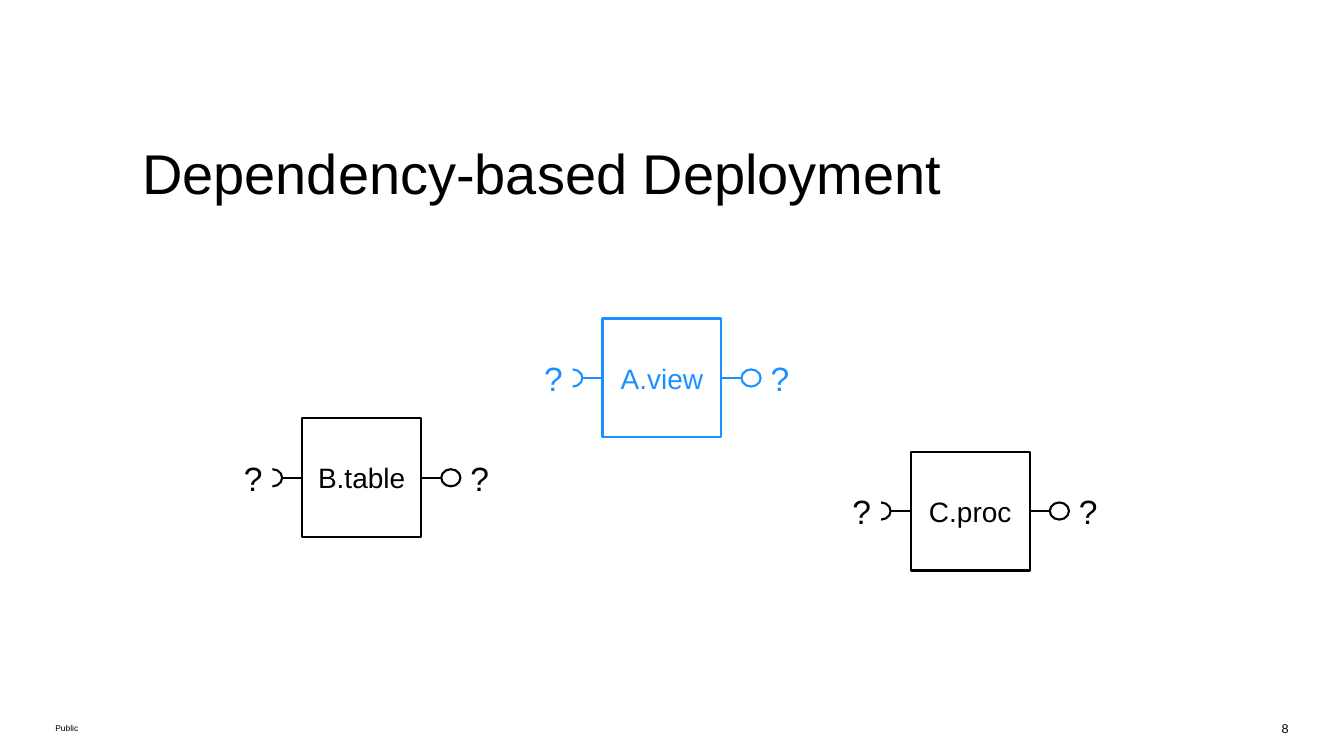
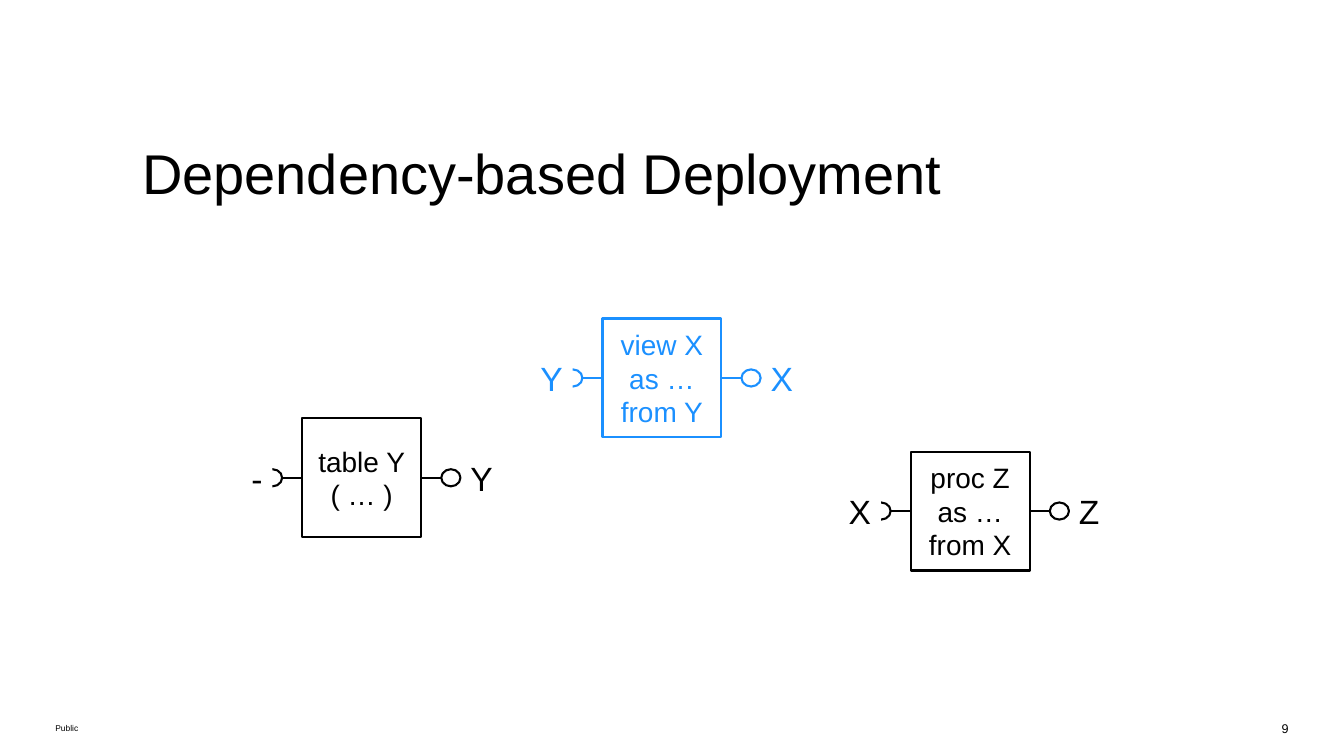
from lxml import etree
from pptx import Presentation
from pptx.dml.color import RGBColor
from pptx.enum.shapes import MSO_CONNECTOR, MSO_SHAPE
from pptx.enum.text import MSO_ANCHOR, PP_ALIGN
from pptx.oxml.ns import qn
from pptx.util import Inches, Pt

BLACK = RGBColor(0x00, 0x00, 0x00)
BLUE = RGBColor(0x1B, 0x90, 0xFF)
WHITE = RGBColor(0xFF, 0xFF, 0xFF)
LEFT, CENTER, RIGHT = PP_ALIGN.LEFT, PP_ALIGN.CENTER, PP_ALIGN.RIGHT
TOP, MIDDLE = MSO_ANCHOR.TOP, MSO_ANCHOR.MIDDLE
RECT, OVAL = MSO_SHAPE.RECTANGLE, MSO_SHAPE.OVAL
STRAIGHT = MSO_CONNECTOR.STRAIGHT

FONT = "Arial"
TITLE = "Dependency-based Deployment"
CELL = Inches(0.1)
COLS, ROWS = 133.4, 75
MARGIN = 5.5
FOOTER_TOP = 71.5

SIDE = 11.8
PORT_W, PORT_H = 1.9, 1.7
STEM = 2
MASK_W, MASK_H = 1.4, 3
LABEL_W, LABEL_H = 13, 5

PLACES = [(59.8, 31.6, BLUE), (30, 41.5, BLACK), (90.4, 44.8, BLACK)]
SLIDES = [
    (8, [("?", "A.view", "?"), ("?", "B.table", "?"), ("?", "C.proc", "?")]),
    (9, [("Y", "view X\nas …\nfrom Y", "X"),
         ("-", "table Y\n( … )", "Y"),
         ("X", "proc Z\nas …\nfrom X", "Z")]),
]


def grid(*cells):
    """Turn grid cells into slide lengths."""
    return [round(c * CELL) for c in cells]


def write(tf, text, size, color, align=LEFT, anchor=TOP, inset=(0, 0)):
    """Fill a text frame with one paragraph, one run for each line."""
    tf.word_wrap = True
    tf.vertical_anchor = anchor
    tf.margin_left = tf.margin_right = Inches(inset[0])
    tf.margin_top = tf.margin_bottom = Inches(inset[1])
    p = tf.paragraphs[0]
    p.alignment = align
    for i, line in enumerate(text.split("\n")):
        if i:
            p.add_line_break()
        r = p.add_run()
        r.text = line
        r.font.name, r.font.size = FONT, Pt(size)
        r.font.color.rgb = color


def add_text(shapes, box, text, size, color=BLACK, **style):
    """Add a text box placed in grid cells."""
    write(shapes.add_textbox(*grid(*box)).text_frame, text, size, color, **style)


def add_outline(shapes, kind, box, color=None):
    """Add a white shape, outlined if a colour is given."""
    sp = shapes.add_shape(kind, *grid(*box))
    sp.shadow.inherit = False
    sp.fill.solid()
    sp.fill.fore_color.rgb = WHITE
    if color is None:
        sp.line.fill.background()
    else:
        sp.line.color.rgb = color
        sp.line.width = Pt(1.5)
    return sp


def add_stem(shapes, x, y, color):
    """Add a short horizontal line that starts at x."""
    line = shapes.add_connector(STRAIGHT, *grid(x, y, x + STEM, y))
    line.line.color.rgb = color
    line.line.width = Pt(1.5)
    etree.SubElement(line._element.spPr, qn("a:effectLst"))


def add_component(s, x, y, color, needs, name, offers):
    """Add a component with a socket on its left and a ball on its right."""
    shapes = s.shapes.add_group_shape().shapes
    mid = y + SIDE / 2
    right = x + SIDE
    ball = right + STEM
    socket = x - STEM - PORT_W
    mask_right = socket + PORT_W / 2
    port_top, label_top = mid - PORT_H / 2, mid - LABEL_H / 2

    sp = add_outline(shapes, RECT, (x, y, SIDE, SIDE), color)
    write(sp.text_frame, name, 20, color, CENTER, MIDDLE, (0.1, 0.08))
    for port, stem in ((ball, right), (socket, x - STEM)):
        add_outline(shapes, OVAL, (port, port_top, PORT_W, PORT_H), color)
        add_stem(shapes, stem, mid, color)
    add_outline(shapes, RECT,
                (mask_right - MASK_W, mid - MASK_H / 2, MASK_W, MASK_H))
    for left, text, align in ((ball + PORT_W, offers, LEFT),
                              (mask_right - LABEL_W, needs, RIGHT)):
        add_text(shapes, (left, label_top, LABEL_W, LABEL_H), text, 24, color,
                 align=align, inset=(0.1, 0.05))


def add_frame(s, number):
    """Add the title, the footer and the page number."""
    add_text(s.shapes, (MARGIN, 13.7, 96.5, 6.7), TITLE, 40, align=CENTER)
    add_text(s.shapes, (MARGIN, FOOTER_TOP, 111, 1.5), "Public", 6,
             anchor=MIDDLE)
    add_text(s.shapes, (COLS - MARGIN - 5, FOOTER_TOP, 5, 1.5), str(number), 9,
             align=RIGHT)


def main():
    """Build the slides and save them."""
    prs = Presentation()
    prs.slide_width, prs.slide_height = grid(COLS, ROWS)
    for number, components in SLIDES:
        s = prs.slides.add_slide(prs.slide_layouts[6])
        add_frame(s, number)
        for place, texts in zip(PLACES, components):
            add_component(s, *place, *texts)
    prs.save("out.pptx")


if __name__ == "__main__":
    main()
